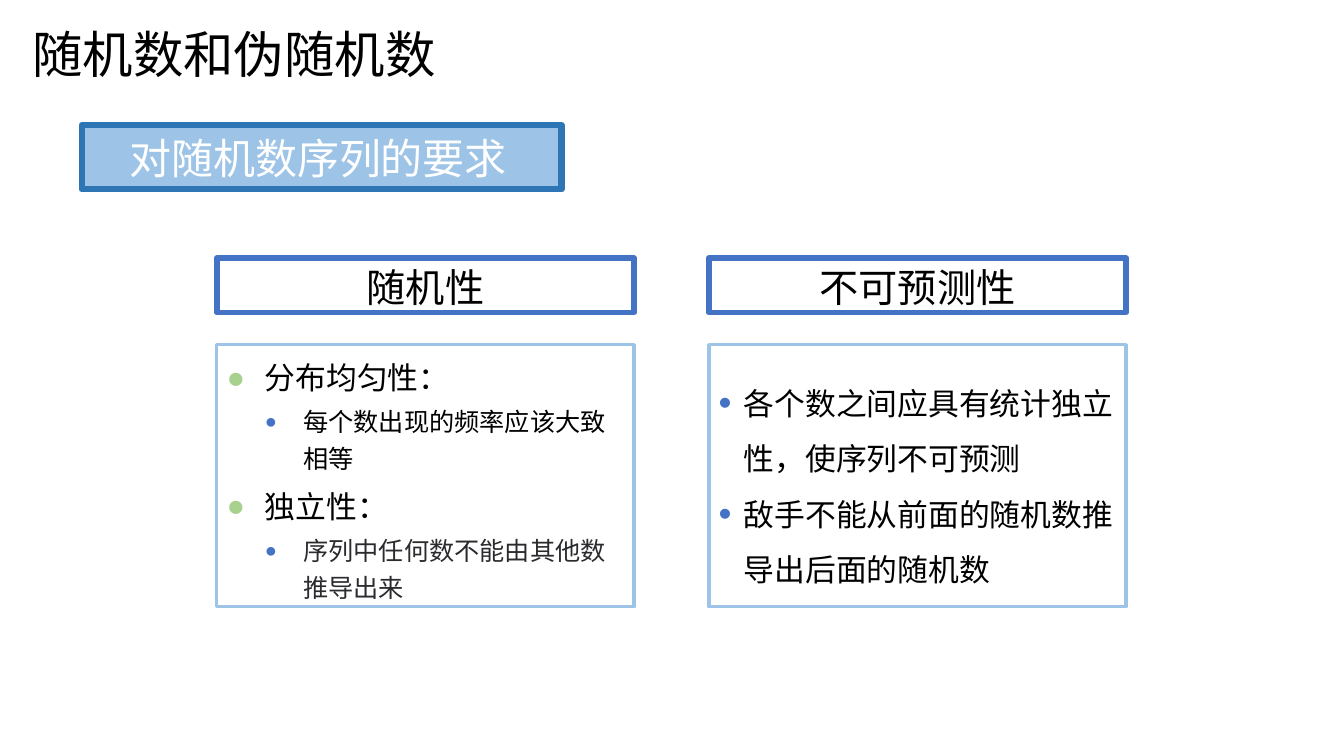
import pptx
import pptx.dml.color
import pptx.enum.shapes
import pptx.enum.text
import pptx.oxml.ns
import pptx.util
from lxml import etree

Inches = pptx.util.Inches
Pt = pptx.util.Pt
ALIGN = pptx.enum.text.PP_ALIGN
ANCHOR = pptx.enum.text.MSO_ANCHOR

FONT = "Noto Sans CJK SC"
COLORS = {
    "text": "000000",
    "soft_text": "2A2B2E",
    "white": "FFFFFF",
    "blue": "4472C4",
    "deep_blue": "2E75B6",
    "light_blue": "9DC3E6",
    "green": "A9D18E",
}

COLUMN_LEFTS = (2.15, 7.03)
COLUMN_WIDTH = 4.14


def rgb(name):
    return pptx.dml.color.RGBColor.from_string(COLORS[name])


def add_element(parent, tag, **attributes):
    return etree.SubElement(parent, pptx.oxml.ns.qn(tag), attributes)


def format_runs(paragraph, size, color):
    for run in paragraph.runs:
        run.font.size = Pt(size)
        run.font.name = FONT
        run.font.color.rgb = rgb(color)
        add_element(run.font._element, "a:ea", typeface=FONT)


def set_bullet(paragraph, char, color, percent, indent, hanging):
    properties = paragraph._p.get_or_add_pPr()
    properties.set("marL", str(Inches(indent)))
    properties.set("indent", str(-Inches(hanging)))
    bullet_color = add_element(properties, "a:buClr")
    add_element(bullet_color, "a:srgbClr", val=COLORS[color])
    add_element(properties, "a:buSzPct", val=str(percent * 1000))
    add_element(properties, "a:buFont", typeface="Arial")
    add_element(properties, "a:buChar", char=char)


def set_frame(frame, anchor, side, top):
    frame.word_wrap = True
    frame.vertical_anchor = anchor
    frame.margin_left = frame.margin_right = Inches(side)
    frame.margin_top = Inches(top)
    frame.margin_bottom = Inches(0)


def add_box(slide, left, top, width, height, line, line_width, fill=None):
    box = slide.shapes.add_shape(
        pptx.enum.shapes.MSO_SHAPE.RECTANGLE,
        Inches(left), Inches(top), Inches(width), Inches(height))
    box.shadow.inherit = False
    if fill:
        box.fill.solid()
        box.fill.fore_color.rgb = rgb(fill)
    else:
        box.fill.background()
    box.line.color.rgb = rgb(line)
    box.line.width = Pt(line_width)
    return box.text_frame


def write_line(frame, text, size, color, align, spacing=None):
    paragraph = frame.paragraphs[0]
    paragraph.text = text
    paragraph.alignment = align
    if spacing:
        paragraph.line_spacing = Pt(spacing)
    format_runs(paragraph, size, color)


def add_title(slide, text):
    title = slide.shapes.add_textbox(
        Inches(0.21), Inches(0), Inches(5.91), Inches(1.06))
    set_frame(title.text_frame, ANCHOR.MIDDLE, 0.11, 0)
    write_line(title.text_frame, text, 36, "text", ALIGN.LEFT)


def add_banner(slide, text):
    frame = add_box(slide, 0.81, 1.24, 4.76, 0.64, "deep_blue", 4.33, "light_blue")
    set_frame(frame, ANCHOR.MIDDLE, 0.47, 0)
    write_line(frame, text, 30, "white", ALIGN.LEFT, 36)


def add_heading(slide, left, text):
    frame = add_box(slide, left, 2.56, COLUMN_WIDTH, 0.54, "blue", 4)
    set_frame(frame, ANCHOR.TOP, 0.1, 0.09)
    write_line(frame, text, 28, "text", ALIGN.CENTER, 31)


def add_list(slide, left, top_margin, items):
    """Each item is (text, size, color, line spacing, space before, bullet)."""
    frame = add_box(slide, left, 3.42, COLUMN_WIDTH, 2.6, "light_blue", 2.5)
    set_frame(frame, ANCHOR.TOP, 0.1, top_margin)
    for index, (text, size, color, spacing, before, bullet) in enumerate(items):
        paragraph = frame.add_paragraph() if index else frame.paragraphs[0]
        paragraph.text = text
        paragraph.alignment = ALIGN.LEFT
        set_bullet(paragraph, *bullet)
        paragraph.line_spacing = Pt(spacing)
        if index:
            paragraph.space_before = Pt(before)
        format_runs(paragraph, size, color)


def main():
    deck = pptx.Presentation()
    deck.slide_width = Inches(13.33)
    deck.slide_height = Inches(7.5)
    slide = deck.slides.add_slide(deck.slide_layouts[6])

    # Title and topic
    add_title(slide, "随机数和伪随机数")
    add_banner(slide, "对随机数序列的要求")

    # Column headings
    for left, heading in zip(COLUMN_LEFTS, ("随机性", "不可预测性")):
        add_heading(slide, left, heading)

    # Randomness: properties with their explanations
    property_bullet = ("●", "green", 100, 0.38, 0.38)
    detail_bullet = ("●", "blue", 80, 0.76, 0.38)
    randomness = []
    for name, detail, detail_color in (
        ("分布均匀性：", "每个数出现的频率应该大致相等", "text"),
        ("独立性：", "序列中任何数不能由其他数推导出来", "soft_text"),
    ):
        randomness.append((name, 22, "text", 33, 3, property_bullet))
        randomness.append((detail, 18, detail_color, 26.4, 3, detail_bullet))
    add_list(slide, COLUMN_LEFTS[0], 0.05, randomness)

    # Unpredictability: two plain points
    point_bullet = ("•", "blue", 120, 0.25, 0.25)
    unpredictability = [
        (text, 22, "text", 39.6, 0, point_bullet)
        for text in (
            "各个数之间应具有统计独立性，使序列不可预测",
            "敌手不能从前面的随机数推导出后面的随机数",
        )
    ]
    add_list(slide, COLUMN_LEFTS[1], 0.21, unpredictability)

    deck.save("out.pptx")


if __name__ == "__main__":
    main()
